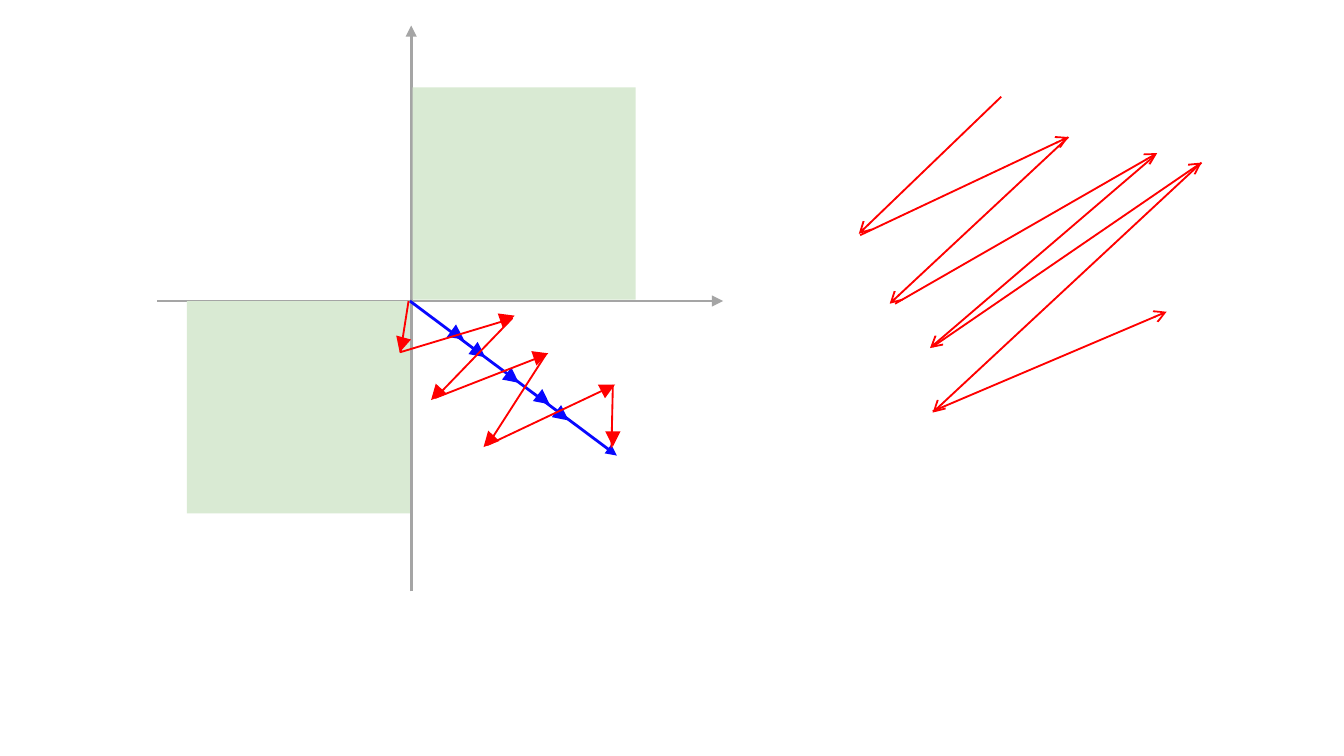
from dataclasses import dataclass

from lxml.etree import SubElement
from pptx import Presentation
from pptx.dml.color import RGBColor
from pptx.enum.shapes import MSO_CONNECTOR, MSO_SHAPE
from pptx.oxml.ns import qn
from pptx.util import Inches, Pt


@dataclass(frozen=True)
class Theme:
    axis: RGBColor = RGBColor(0xA5, 0xA5, 0xA5)
    quadrant: RGBColor = RGBColor(0xD9, 0xEA, 0xD3)
    trend: RGBColor = RGBColor(0x08, 0x08, 0xFF)
    step: RGBColor = RGBColor(0xFF, 0x00, 0x00)
    thin: float = 1
    thick: float = 1.5


@dataclass(frozen=True)
class Box:
    left: float
    top: float

    def place(self, x, y):
        return Inches(self.left + x), Inches(self.top + y)


THEME = Theme()
HEAD_SIZE = 0.08


def style_line(shape, color, width):
    shape.line.color.rgb = color
    shape.line.width = Pt(width)
    return shape._element.spPr.find(qn("a:ln"))


def add_arrow(slide, box, start, end, color, width, head="triangle"):
    connector = slide.shapes.add_connector(
        MSO_CONNECTOR.STRAIGHT, *box.place(*start), *box.place(*end))
    outline = style_line(connector, color, width)
    SubElement(outline, qn("a:tailEnd"), type=head)
    SubElement(connector._element.spPr, qn("a:effectLst"))


def add_filled_shape(slide, box, kind, position, size, color):
    shape = slide.shapes.add_shape(
        kind, *box.place(*position), *map(Inches, size))
    shape.shadow.inherit = False
    shape.fill.solid()
    shape.fill.fore_color.rgb = color
    shape.line.fill.background()
    return shape


def add_heads(slide, box, heads, color):
    for x, y, angle in heads:
        head = add_filled_shape(slide, box, MSO_SHAPE.ISOSCELES_TRIANGLE,
                                (x, y), (HEAD_SIZE, HEAD_SIZE), color)
        head.rotation = angle
        outline = style_line(head, color, THEME.thick)
        SubElement(outline, qn("a:miter"), lim="800000")
        SubElement(outline, qn("a:tailEnd"), type="triangle")


def add_path(slide, box, points, color, width):
    start, *others = [box.place(*point) for point in points]
    builder = slide.shapes.build_freeform(*start)
    builder.add_line_segments(others, close=False)
    path = builder.convert_to_shape()
    path.shadow.inherit = False
    path.fill.background()
    style_line(path, color, width)


def draw_plane(slide, box):
    axes = [((0, 2.05), (4.21, 2.05)), ((1.89, 4.21), (1.89, 0))]
    for start, end in axes:
        add_arrow(slide, box, start, end, THEME.axis, THEME.thick)
    for corner in [(1.9, 0.46), (0.22, 2.05)]:
        add_filled_shape(slide, box, MSO_SHAPE.RECTANGLE, corner,
                         (1.66, 1.58), THEME.quadrant)
    add_arrow(slide, box, (1.88, 2.05), (3.42, 3.2), THEME.trend, THEME.thick)


def draw_steps(slide, box):
    trend_heads = [(2.19, 2.26, 126.1), (2.35, 2.39, 127), (2.6, 2.58, 127.7),
                   (2.83, 2.74, 127.7), (2.97, 2.86, 127.7)]
    steps = [(1.87, 2.05), (1.81, 2.43), (2.64, 2.18), (2.07, 2.77),
             (2.89, 2.45), (2.46, 3.12), (3.39, 2.68), (3.38, 3.14)]
    step_heads = [(1.78, 2.33, 195.1), (2.04, 2.7, 222.6), (2.43, 3.05, 222.6),
                  (2.56, 2.14, 70.7), (2.81, 2.42, 70.7), (3.31, 2.66, 62.6),
                  (3.35, 3.03, 180)]
    add_heads(slide, box, trend_heads, THEME.trend)
    add_path(slide, box, steps, THEME.step, THEME.thin)
    add_heads(slide, box, step_heads, THEME.step)


def draw_zigzag(slide, box):
    strokes = [((1.06, 0), (0, 1.02)), ((0.01, 1.03), (1.56, 0.3)),
               ((1.56, 0.3), (0.23, 1.54)), ((0.27, 1.54), (2.22, 0.42)),
               ((2.2, 0.44), (0.53, 1.87)), ((0.55, 1.86), (2.55, 0.49)),
               ((2.55, 0.49), (0.55, 2.35)), ((0.55, 2.34), (2.29, 1.6))]
    for start, end in strokes:
        add_arrow(slide, box, start, end, THEME.step, THEME.thin, "arrow")


def main():
    presentation = Presentation()
    presentation.slide_width = Inches(10)
    presentation.slide_height = Inches(10 * 9 / 16)
    slide = presentation.slides.add_slide(presentation.slide_layouts[6])
    plane = Box(1.17, 0.19)
    draw_plane(slide, plane)
    draw_zigzag(slide, Box(6.39, 0.72))
    draw_steps(slide, plane)
    presentation.save("out.pptx")


if __name__ == "__main__":
    main()
